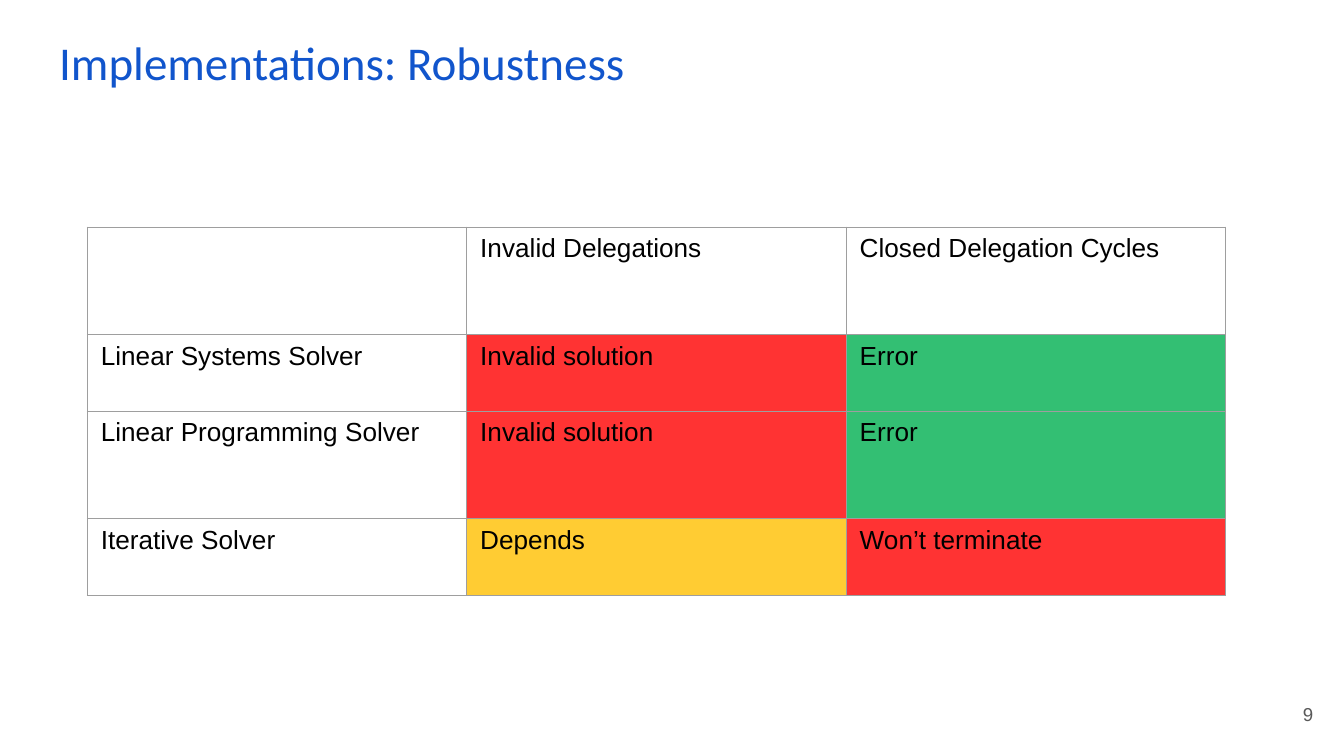
import dataclasses

import pptx
import pptx.dml.color
import pptx.enum.text
import pptx.oxml.ns
import pptx.util
from lxml import etree

Inches, Pt = pptx.util.Inches, pptx.util.Pt
RGB = pptx.dml.color.RGBColor.from_string
Align, Anchor = pptx.enum.text.PP_ALIGN, pptx.enum.text.MSO_ANCHOR
qn = pptx.oxml.ns.qn


@dataclasses.dataclass(frozen=True)
class Theme:
    title: str = "1155CC"
    text: str = "000000"
    muted: str = "595959"
    border: str = "9E9E9E"
    bad: str = "FF0000"
    good: str = "00B050"
    mixed: str = "FFC000"
    opacity: int = 80
    border_width: float = 0.75
    heading_font: str = "Calibri"
    body_font: str = "Arial"
    title_size: float = 25.2
    body_size: float = 14
    number_size: float = 10


THEME = Theme()

# Widescreen, 16:9
WIDTH = 10
HEIGHT = WIDTH * 9 / 16

# Each cell: text and rating colour
ROWS = [
    [("", None), ("Invalid Delegations", None), ("Closed Delegation Cycles", None)],
    [("Linear Systems Solver", None), ("Invalid solution", THEME.bad), ("Error", THEME.good)],
    [("Linear Programming Solver", None), ("Invalid solution", THEME.bad), ("Error", THEME.good)],
    [("Iterative Solver", None), ("Depends", THEME.mixed), ("Won’t terminate", THEME.bad)],
]
ROW_SHARES = [0.8, 0.57, 0.8, 0.57]


def set_text(tf, text, font, size, color, align=Align.LEFT):
    p = tf.paragraphs[0]
    p.alignment = align
    r = p.add_run()
    r.text = text
    for name, value in {"name": font, "size": Pt(size), "bold": False}.items():
        setattr(r.font, name, value)
    r.font.color.rgb = RGB(color)


def set_frame(tf, anchor):
    frame = {"word_wrap": True, "vertical_anchor": anchor,
             "auto_size": pptx.enum.text.MSO_AUTO_SIZE.NONE}
    sides = ("left", "top", "right", "bottom")
    frame.update({f"margin_{side}": Inches(0.1) for side in sides})
    for name, value in frame.items():
        setattr(tf, name, value)


def add_title(s, box, text):
    sp = s.shapes.title
    sp.left, sp.top, sp.width, sp.height = map(Inches, box)
    set_frame(sp.text_frame, Anchor.TOP)
    set_text(sp.text_frame, text, THEME.heading_font, THEME.title_size, THEME.title)


def add_page_number(s, box, number):
    tf = s.shapes.add_textbox(*map(Inches, box)).text_frame
    set_frame(tf, Anchor.MIDDLE)
    set_text(tf, str(number), THEME.body_font, THEME.number_size, THEME.muted, Align.RIGHT)


def fill_cell(cell, color):
    if color is None:
        cell.fill.background()
        return
    cell.fill.solid()
    cell.fill.fore_color.rgb = RGB(color)
    srgb = cell._tc.tcPr.find(".//" + qn("a:srgbClr"))
    etree.SubElement(srgb, qn("a:alpha"), val=str(THEME.opacity * 1000))


def border_cell(cell):
    tc_pr = cell._tc.get_or_add_tcPr()
    # Border lines come before the fill
    for i, side in enumerate(("lnL", "lnR", "lnT", "lnB")):
        ln = etree.Element(qn(f"a:{side}"), w=str(Pt(THEME.border_width)))
        solid = etree.SubElement(ln, qn("a:solidFill"))
        etree.SubElement(solid, qn("a:srgbClr"), val=THEME.border)
        tc_pr.insert(i, ln)


def add_robustness_table(s, box, rows, row_shares):
    height = box[3]
    columns = len(rows[0])
    table = s.shapes.add_table(len(rows), columns, *map(Inches, box)).table
    table.first_row = table.horz_banding = False
    for row, share in zip(table.rows, row_shares):
        row.height = Inches(height * share / sum(row_shares))
    for i, row in enumerate(rows):
        for j, (text, color) in enumerate(row):
            cell = table.cell(i, j)
            if text:
                set_text(cell.text_frame, text, THEME.body_font, THEME.body_size, THEME.text)
            fill_cell(cell, color)
            border_cell(cell)


def main():
    prs = pptx.Presentation()
    prs.slide_width, prs.slide_height = Inches(WIDTH), Inches(HEIGHT)
    s = prs.slides.add_slide(prs.slide_layouts[5])

    # Title, comparison table, page number
    add_title(s, (0.34, 0.15, 8.43, 0.63), "Implementations: Robustness")
    add_robustness_table(s, (0.65, 1.69, 8.47, 2.74), ROWS, ROW_SHARES)
    add_page_number(s, (9.27, 5.1, 0.6, 0.43), 9)

    prs.save("out.pptx")


if __name__ == "__main__":
    main()
